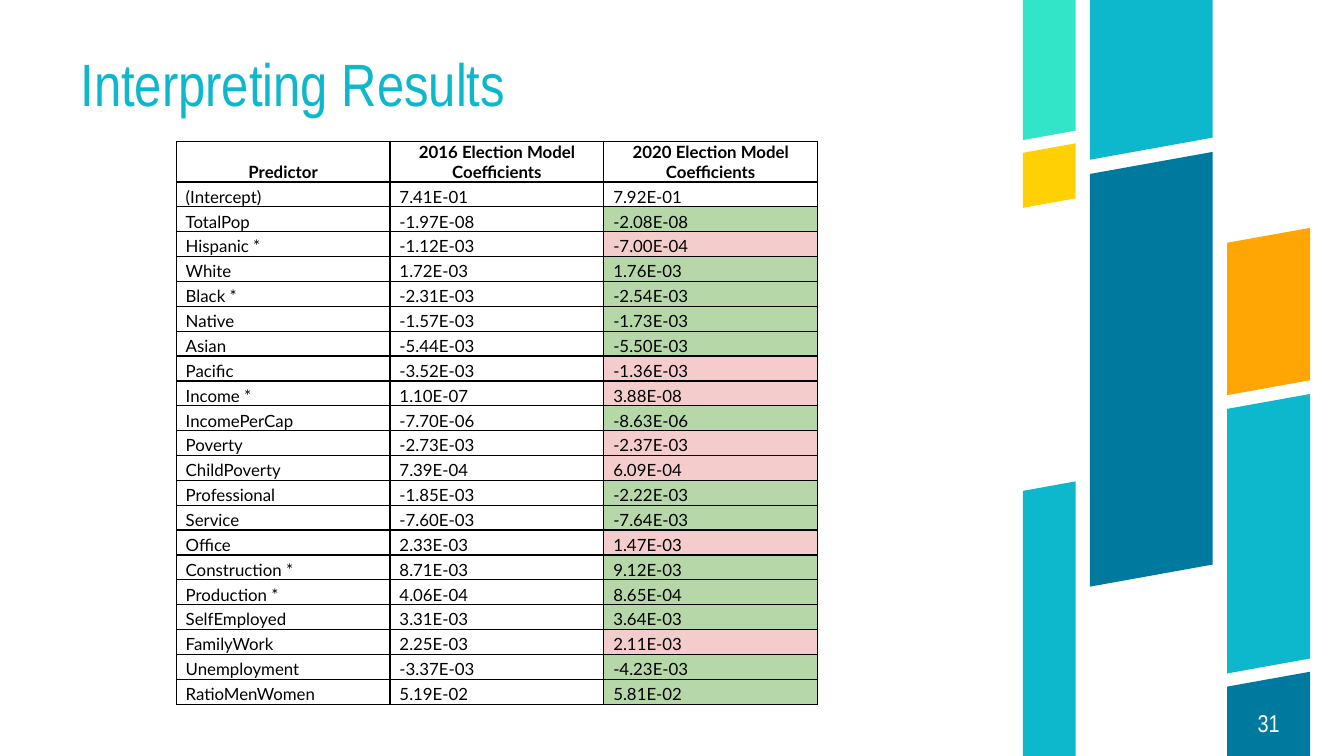
"""Build the slide that compares the 2016 and 2020 election model coefficients."""
from lxml import etree
from pptx import Presentation
from pptx import util as u
from pptx.dml import color
from pptx.enum import text
from pptx.oxml import ns

WIDTH, HEIGHT = 25.4, 14.29
SLOPE = 0.18
HEAD_FONT, BODY_FONT = "Arial Narrow", "Lato"
COLORS = {
    "cyan": "0DB8CC", "yellow": "FFD104", "mint": "32E4C8", "blue": "00799E",
    "orange": "FFA604", "white": "FFFFFF", "black": "000000",
    "stronger": "B6D7A8", "weaker": "F4CCCC",
}
# Each column: left, width, then panels as (top, bottom, colour) on the left edge.
PANEL_COLUMNS = [
    (19.33, 1.0, [(0, 2.65, "mint"), (2.89, 3.93, "yellow"), (9.28, HEIGHT, "cyan")]),
    (20.6, 2.32, [(0, 3.02, "cyan"), (3.29, 11.09, "blue")]),
    (23.19, 1.57, [(4.59, 7.47, "orange"), (7.73, 12.73, "cyan"), (12.98, HEIGHT, "blue")]),
]
HEADERS = ["Predictor", "2016 Election Model Coefficients", "2020 Election Model Coefficients"]
COEFFICIENTS = [
    ("(Intercept)", "7.41E-01", "7.92E-01"),
    ("TotalPop", "-1.97E-08", "-2.08E-08"),
    ("Hispanic *", "-1.12E-03", "-7.00E-04"),
    ("White", "1.72E-03", "1.76E-03"),
    ("Black *", "-2.31E-03", "-2.54E-03"),
    ("Native", "-1.57E-03", "-1.73E-03"),
    ("Asian", "-5.44E-03", "-5.50E-03"),
    ("Pacific", "-3.52E-03", "-1.36E-03"),
    ("Income *", "1.10E-07", "3.88E-08"),
    ("IncomePerCap", "-7.70E-06", "-8.63E-06"),
    ("Poverty", "-2.73E-03", "-2.37E-03"),
    ("ChildPoverty", "7.39E-04", "6.09E-04"),
    ("Professional", "-1.85E-03", "-2.22E-03"),
    ("Service", "-7.60E-03", "-7.64E-03"),
    ("Office", "2.33E-03", "1.47E-03"),
    ("Construction *", "8.71E-03", "9.12E-03"),
    ("Production *", "4.06E-04", "8.65E-04"),
    ("SelfEmployed", "3.31E-03", "3.64E-03"),
    ("FamilyWork", "2.25E-03", "2.11E-03"),
    ("Unemployment", "-3.37E-03", "-4.23E-03"),
    ("RatioMenWomen", "5.19E-02", "5.81E-02"),
]


def rgb(name):
    return color.RGBColor.from_string(COLORS[name])


def place(sp, left, top, width, height):
    sp.left, sp.top, sp.width, sp.height = map(u.Cm, (left, top, width, height))


def add_run(p, words, font, size, tint, bold=False):
    r = p.add_run()
    r.text = words
    r.font.name, r.font.size, r.font.bold = font, u.Pt(size), bold
    r.font.color.rgb = rgb(tint)


def plain_frame(sp, anchor):
    tf = sp.text_frame
    tf.word_wrap = True
    tf.auto_size = text.MSO_AUTO_SIZE.NONE
    tf.margin_left = tf.margin_right = tf.margin_top = tf.margin_bottom = 0
    tf.vertical_anchor = anchor
    return tf.paragraphs[0]


def add_panel(s, left, width, top, bottom, tint):
    rise = SLOPE * width
    right = left + width
    right_top = top - rise if top > 0 else top
    right_bottom = bottom - rise if bottom < HEIGHT else bottom
    corners = [(left, top), (right, right_top), (right, right_bottom), (left, bottom)]
    points = [(u.Cm(x), u.Cm(y)) for x, y in corners]
    builder = s.shapes.build_freeform(*points[0])
    builder.add_line_segments(points[1:], close=True)
    sp = builder.convert_to_shape()
    sp.shadow.inherit = False
    sp.fill.solid()
    sp.fill.fore_color.rgb = rgb(tint)
    sp.line.fill.background()


def add_title(s, words):
    sp = s.shapes.title
    place(sp, 1.52, 1.17, 16.97, 1.09)
    p = plain_frame(sp, text.MSO_ANCHOR.BOTTOM)
    p.alignment = text.PP_ALIGN.LEFT
    p.line_spacing = 0.9
    add_run(p, words, HEAD_FONT, 32, "cyan")


def add_page_number(s, number):
    sp = s.shapes.add_textbox(u.Cm(23.19), u.Cm(13.03), u.Cm(1.57), u.Cm(1.26))
    p = plain_frame(sp, text.MSO_ANCHOR.MIDDLE)
    p.alignment = text.PP_ALIGN.CENTER
    add_run(p, number, HEAD_FONT, 13, "white")


def add_borders(cell):
    tc_pr = cell._tc.get_or_add_tcPr()
    for side in ("a:lnL", "a:lnR", "a:lnT", "a:lnB"):
        ln = etree.SubElement(tc_pr, ns.qn(side), w=str(u.Pt(0.75)))
        fill = etree.SubElement(ln, ns.qn("a:solidFill"))
        etree.SubElement(fill, ns.qn("a:srgbClr"), val=COLORS["black"])


def fill_cell(cell, words, header=False, tint=None):
    cell.margin_left = cell.margin_right = u.Cm(0.18)
    cell.margin_top = cell.margin_bottom = 0
    cell.vertical_anchor = text.MSO_ANCHOR.BOTTOM
    add_borders(cell)
    if tint:
        cell.fill.solid()
        cell.fill.fore_color.rgb = rgb(tint)
    else:
        cell.fill.background()
    p = cell.text_frame.paragraphs[0]
    p.alignment = text.PP_ALIGN.CENTER if header else text.PP_ALIGN.LEFT
    add_run(p, words, BODY_FONT, 9, "black", header)


def change_tint(predictor, old, new):
    if predictor == "(Intercept)":
        return None
    return "stronger" if abs(float(new)) > abs(float(old)) else "weaker"


def add_coefficients(s):
    col_width, head_height, row_height = 4.04, 0.77, 0.47
    n_rows, n_cols = len(COEFFICIENTS) + 1, len(HEADERS)
    frame = s.shapes.add_table(
        n_rows, n_cols, u.Cm(3.33), u.Cm(2.67), u.Cm(col_width * n_cols),
        u.Cm(head_height + row_height * len(COEFFICIENTS)))
    table = frame.table
    table.first_row = table.horz_banding = False
    for column in table.columns:
        column.width = u.Cm(col_width)
    for i, row in enumerate(table.rows):
        row.height = u.Cm(row_height if i else head_height)
    for j, words in enumerate(HEADERS):
        fill_cell(table.cell(0, j), words, header=True)
    for i, record in enumerate(COEFFICIENTS, 1):
        tints = (None, None, change_tint(*record))
        for j, (words, tint) in enumerate(zip(record, tints)):
            fill_cell(table.cell(i, j), words, tint=tint)


def main():
    prs = Presentation()
    prs.slide_width, prs.slide_height = u.Cm(WIDTH), u.Cm(HEIGHT)
    s = prs.slides.add_slide(prs.slide_layouts[5])
    for left, width, panels in PANEL_COLUMNS:
        for top, bottom, tint in panels:
            add_panel(s, left, width, top, bottom, tint)
    add_title(s, "Interpreting Results")
    add_page_number(s, "31")
    add_coefficients(s)
    prs.save("out.pptx")


if __name__ == "__main__":
    main()
